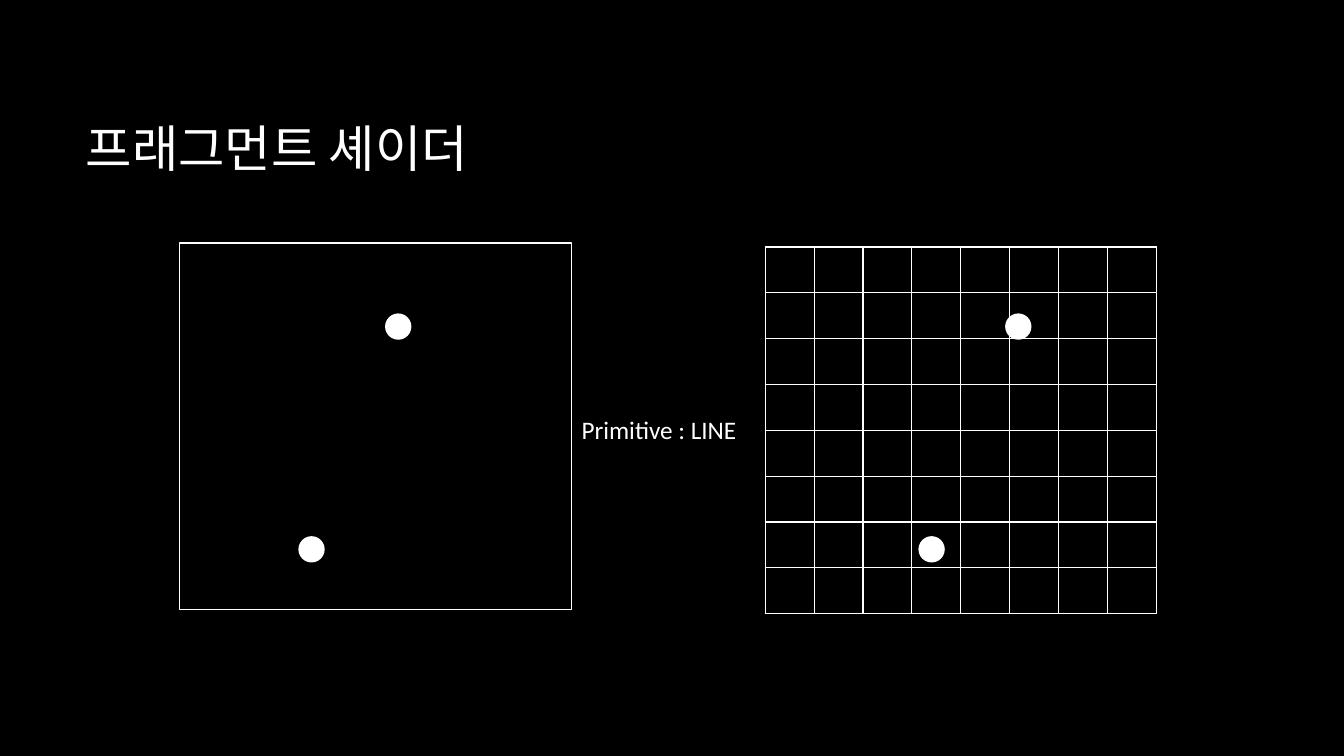
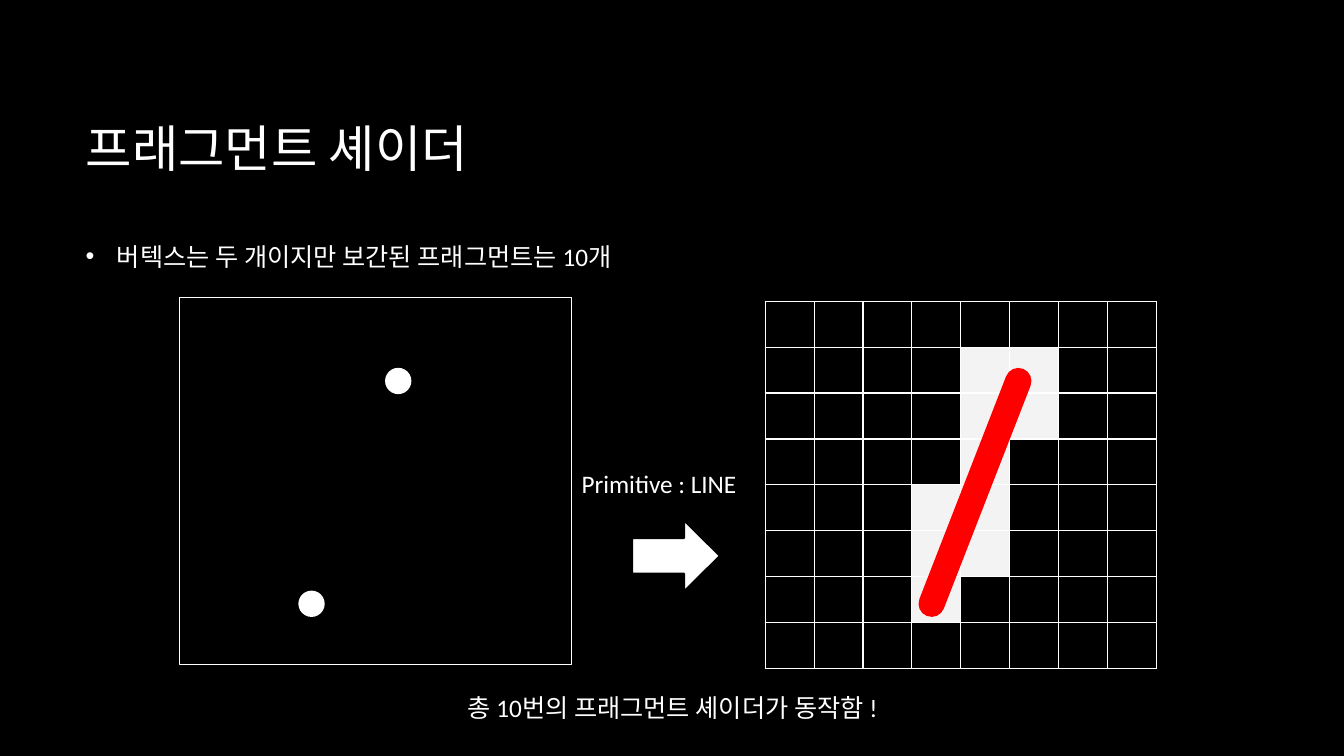
import dataclasses

import lxml.etree
import pptx
import pptx.dml.color
import pptx.enum.shapes
import pptx.enum.text
import pptx.oxml.ns
import pptx.util

Inches = pptx.util.Inches
Pt = pptx.util.Pt
RGB = pptx.dml.color.RGBColor.from_string
SHAPE = pptx.enum.shapes.MSO_SHAPE
qn = pptx.oxml.ns.qn


@dataclasses.dataclass(frozen=True)
class Theme:
    font: str = "Calibri"
    back: str = "000000"
    ink: str = "FFFFFF"
    fragment: str = "F3F3F3"
    line: str = "FF0000"
    title_size: int = 36
    text_size: int = 18


theme = Theme()


def write(shape, text, size, anchor=pptx.enum.text.MSO_ANCHOR.TOP):
    tf = shape.text_frame
    tf.word_wrap = True
    tf.auto_size = pptx.enum.text.MSO_AUTO_SIZE.NONE
    tf.vertical_anchor = anchor
    p = tf.paragraphs[0]
    p.alignment = pptx.enum.text.PP_ALIGN.LEFT
    p.space_before = Pt(0)
    r = p.add_run()
    r.text = text
    r.font.name = theme.font
    r.font.size = Pt(size)
    r.font.color.rgb = RGB(theme.ink)
    return p


def add_shape(s, kind, box, fill, line, width):
    sp = s.shapes.add_shape(kind, *map(Inches, box))
    sp.shadow.inherit = False
    if fill:
        sp.fill.solid()
        sp.fill.fore_color.rgb = RGB(fill)
    else:
        sp.fill.background()
    sp.line.color.rgb = RGB(line)
    sp.line.width = Pt(width)


prs = pptx.Presentation()
prs.slide_width = Inches(13.33)
prs.slide_height = Inches(7.5)
master_fill = prs.slide_master.background.fill
master_fill.solid()
master_fill.fore_color.rgb = RGB(theme.back)

GRID = 8
PANEL_SHIFT = 6.15
DOT = 0.24
covered = {(1, 4), (1, 5), (2, 4), (2, 5), (3, 4),
           (4, 3), (4, 4), (5, 3), (5, 4), (6, 3)}

slides = [
    (5, 2.41, set(), None, None),
    (1, 2.95, covered, "버텍스는 두 개이지만 보간된 프래그먼트는 10개",
     "총 10번의 프래그먼트 셰이더가 동작함 !"),
]

for layout, top, filled, bullet, summary in slides:
    s = prs.slides.add_slide(prs.slide_layouts[layout])

    title = s.shapes.title
    title.left, title.top, title.width, title.height = map(Inches, (0.75, 0.67, 11.08, 1.59))
    write(title, "프래그먼트 셰이더", theme.title_size, pptx.enum.text.MSO_ANCHOR.MIDDLE)

    if bullet:
        body = s.placeholders[1]
        body.left, body.top, body.width, body.height = map(Inches, (0.75, 2.34, 11.08, 3.99))
        p = write(body, bullet, theme.text_size)
        p.space_after = Pt(10)
        pPr = p._p.get_or_add_pPr()
        pPr.set("marL", str(Inches(0.31)))
        pPr.set("indent", str(-Inches(0.31)))
        lxml.etree.SubElement(pPr, qn("a:buChar")).set("char", "•")

    frame = s.shapes.add_table(GRID, GRID, Inches(7.59), Inches(top + 0.04),
                               Inches(3.88), Inches(3.64))
    table = frame.table
    table.first_row = False
    table.horz_banding = False
    for row in range(GRID):
        for col in range(GRID):
            cell = table.cell(row, col)
            tcPr = cell._tc.get_or_add_tcPr()
            for side in ("a:lnL", "a:lnR", "a:lnT", "a:lnB"):
                ln = lxml.etree.SubElement(tcPr, qn(side), w=str(Pt(1)))
                solid = lxml.etree.SubElement(ln, qn("a:solidFill"))
                lxml.etree.SubElement(solid, qn("a:srgbClr"), val=theme.ink)
            if (row, col) in filled:
                cell.fill.solid()
                cell.fill.fore_color.rgb = RGB(theme.fragment)
            else:
                cell.fill.background()

    add_shape(s, SHAPE.RECTANGLE, (1.78, top, 3.89, 3.64), None, theme.ink, 1)
    vertices = [(2.97, top + 2.92), (3.83, top + 0.71)]
    for shift in (0, PANEL_SHIFT):
        for x, y in vertices:
            add_shape(s, SHAPE.OVAL, (x + shift, y, DOT, DOT), theme.ink, theme.ink, 1.5)

    label = s.shapes.add_textbox(Inches(5.67), Inches(top + 1.65), Inches(1.94), Inches(0.4))
    write(label, "Primitive : LINE", theme.text_size)

    if filled:
        add_shape(s, SHAPE.RIGHT_ARROW, (6.27, 5.16, 0.87, 0.71), theme.ink, theme.back, 1.5)
        ends = [Inches(v) for x, y in vertices
                for v in (x + PANEL_SHIFT + DOT / 2, y + DOT / 2)]
        line = s.shapes.add_connector(pptx.enum.shapes.MSO_CONNECTOR.STRAIGHT, *ends)
        line.line.color.rgb = RGB(theme.line)
        line.line.width = Pt(18.75)
        line.line._get_or_add_ln().set("cap", "rnd")
        lxml.etree.SubElement(line._element.spPr, qn("a:effectLst"))

    if summary:
        note = s.shapes.add_textbox(Inches(4.54), Inches(6.82), Inches(4.96), Inches(0.4))
        write(note, summary, theme.text_size)

prs.save("out.pptx")
